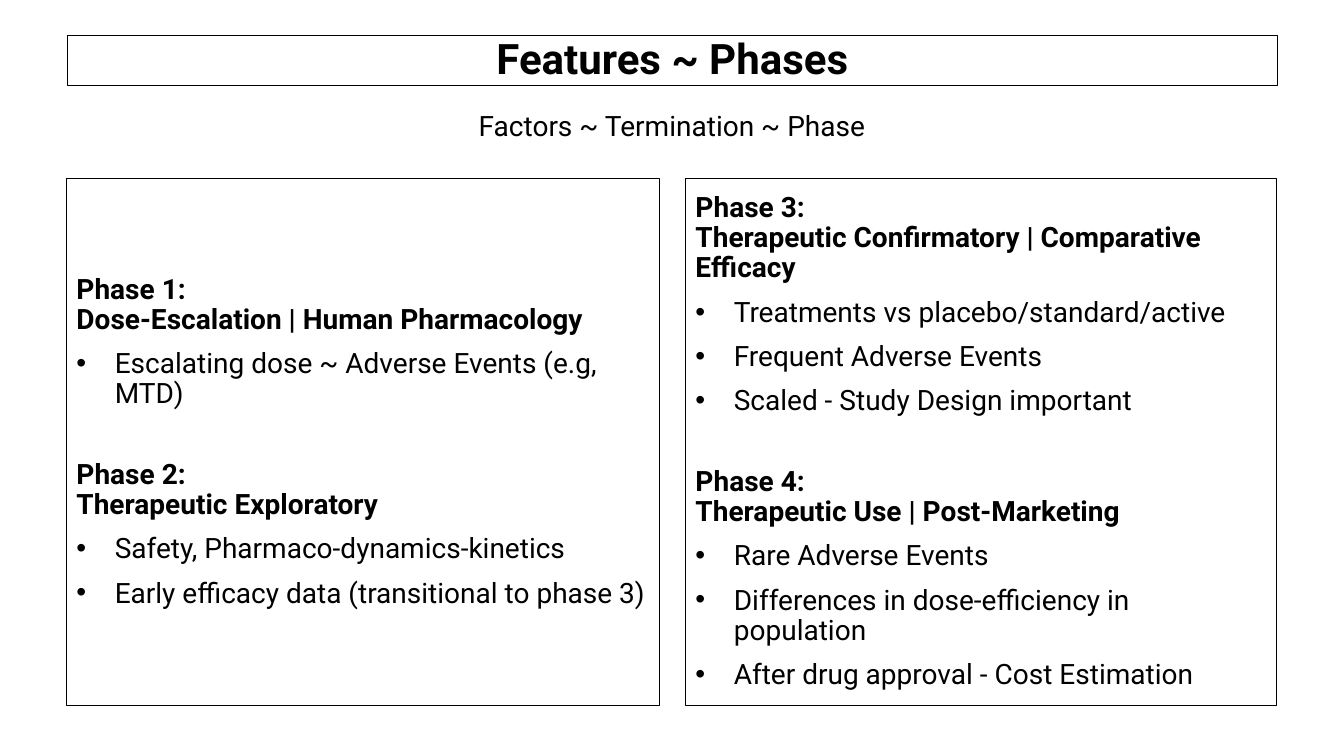
"""Build the slide that compares the features of the four trial phases."""
from dataclasses import dataclass

from lxml.etree import SubElement
from pptx import Presentation
from pptx.dml.color import RGBColor
from pptx.enum.shapes import MSO_SHAPE
from pptx.enum.text import MSO_ANCHOR, PP_ALIGN
from pptx.oxml.ns import qn
from pptx.shapes.autoshape import Shape
from pptx.slide import Slide
from pptx.text.text import TextFrame
from pptx.util import Inches, Pt

COLORS = {"text": "000000", "border": "000000"}
FONT = "Roboto"
BULLET_INDENT = Inches(0.38)
ITEM_GAP = 10
PHASE_GAP = 36


@dataclass
class Phase:
    heading: str
    features: list[str]


@dataclass
class Panel:
    left: float
    width: float
    phases: list[Phase]


PANELS = [
    Panel(0.66, 5.88, [
        Phase("Phase 1:\nDose-Escalation | Human Pharmacology",
              ["Escalating dose ~ Adverse Events (e.g, MTD)"]),
        Phase("Phase 2:\nTherapeutic Exploratory",
              ["Safety, Pharmaco-dynamics-kinetics",
               "Early efficacy data (transitional to phase 3)"]),
    ]),
    Panel(6.8, 5.86, [
        Phase("Phase 3:\nTherapeutic Confirmatory | Comparative Efficacy",
              ["Treatments vs placebo/standard/active",
               "Frequent Adverse Events",
               "Scaled - Study Design important"]),
        Phase("Phase 4:\nTherapeutic Use | Post-Marketing",
              ["Rare Adverse Events",
               "Differences in dose-efficiency in population",
               "After drug approval - Cost Estimation"]),
    ]),
]


def write_paragraph(frame: TextFrame, text: str, *, size: float = 20, bold: bool = False,
                    align: PP_ALIGN = PP_ALIGN.LEFT, line_spacing: float = 0.9,
                    space_before: float = 0, bullet: bool = False) -> None:
    first = frame.paragraphs[0]
    paragraph = frame.add_paragraph() if first.runs else first
    paragraph.text = text
    paragraph.alignment = align
    paragraph.line_spacing = line_spacing
    paragraph.space_before = Pt(space_before)
    if bullet:
        properties = paragraph._p.get_or_add_pPr()
        properties.set("marL", str(BULLET_INDENT))
        properties.set("indent", str(-BULLET_INDENT))
        SubElement(properties, qn("a:buFont")).set("typeface", "Arial")
        SubElement(properties, qn("a:buChar")).set("char", "•")
    for run in paragraph.runs:
        run.font.name = FONT
        run.font.size = Pt(size)
        run.font.bold = bold
        run.font.color.rgb = RGBColor.from_string(COLORS["text"])


def add_frame(slide: Slide, left: float, top: float, width: float, height: float) -> Shape:
    shape = slide.shapes.add_shape(MSO_SHAPE.RECTANGLE, Inches(left), Inches(top),
                                   Inches(width), Inches(height))
    shape.shadow.inherit = False
    shape.fill.background()
    shape.line.color.rgb = RGBColor.from_string(COLORS["border"])
    shape.line.width = Pt(0.75)
    shape.text_frame.word_wrap = True
    shape.text_frame.vertical_anchor = MSO_ANCHOR.MIDDLE
    return shape


def add_panel(slide: Slide, panel: Panel) -> None:
    frame = add_frame(slide, panel.left, 1.77, panel.width, 5.23).text_frame
    for index, phase in enumerate(panel.phases):
        write_paragraph(frame, phase.heading, bold=True,
                        space_before=PHASE_GAP if index else 0)
        for feature in phase.features:
            write_paragraph(frame, feature, space_before=ITEM_GAP, bullet=True)


def main() -> None:
    presentation = Presentation()
    presentation.slide_width = Inches(13.33)
    presentation.slide_height = Inches(7.5)
    slide = presentation.slides.add_slide(presentation.slide_layouts[6])

    title = add_frame(slide, 0.67, 0.35, 12, 0.5)
    write_paragraph(title.text_frame, "Features ~ Phases", size=30, bold=True,
                    align=PP_ALIGN.CENTER)

    subtitle = slide.shapes.add_textbox(Inches(0.66), Inches(1.03), Inches(12.01), Inches(0.44))
    subtitle.text_frame.word_wrap = True
    write_paragraph(subtitle.text_frame, "Factors ~ Termination ~ Phase",
                    align=PP_ALIGN.CENTER, line_spacing=1.0)

    for panel in PANELS:
        add_panel(slide, panel)

    presentation.save("out.pptx")


if __name__ == "__main__":
    main()
